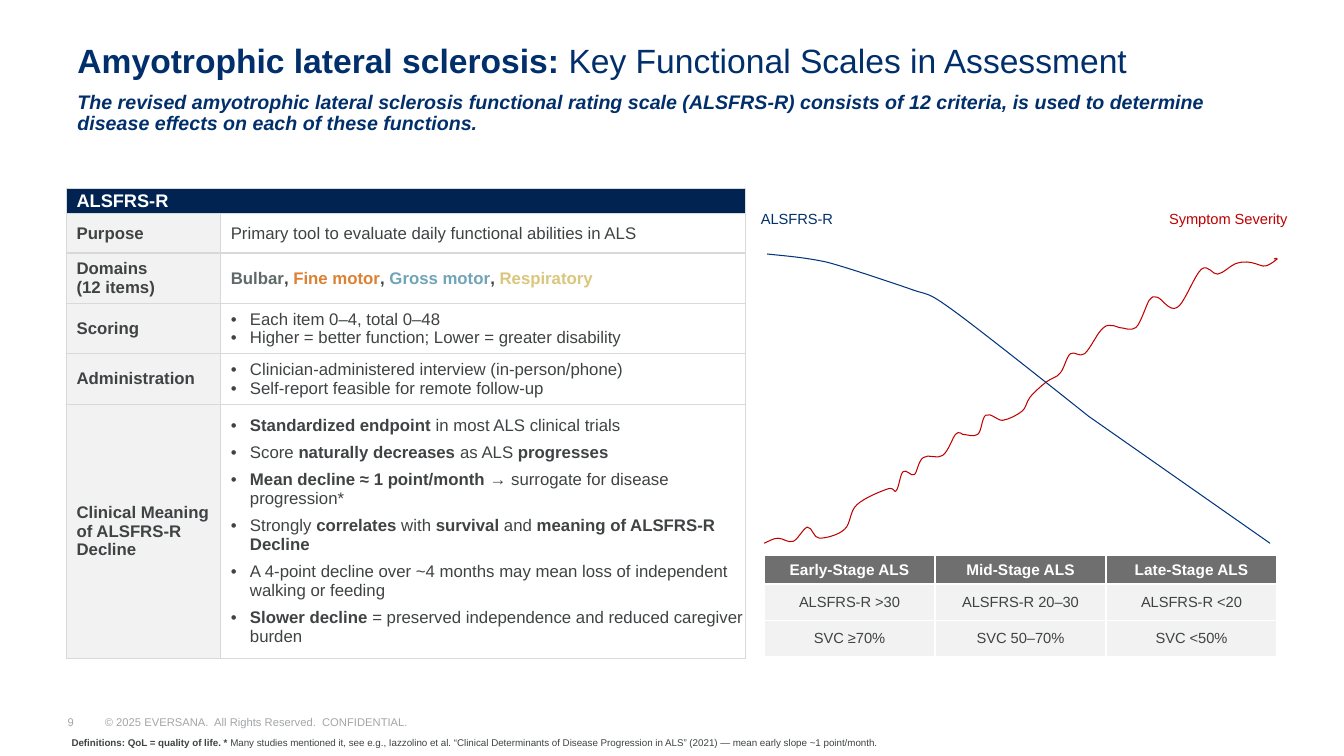
"""Build the ALS functional scales slide with two tables and two trend curves."""
from dataclasses import dataclass
from typing import Optional

from lxml import etree
from pptx import Presentation
from pptx.dml.color import RGBColor
from pptx.enum.shapes import MSO_SHAPE
from pptx.enum.text import MSO_ANCHOR, PP_ALIGN
from pptx.oxml.ns import qn
from pptx.util import Pt

EMU_PER_PX = 9144
FONT = "Arial"
NAVY = RGBColor(0x00, 0x2F, 0x6C)
HEADER_NAVY = RGBColor(0x00, 0x23, 0x52)
CURVE_BLUE = RGBColor(0x00, 0x35, 0x7D)
RED = RGBColor(0xC0, 0x00, 0x00)
INK = RGBColor(0x3F, 0x43, 0x44)
FOOTER_GRAY = RGBColor(0xA2, 0xA5, 0xA8)
HEADER_GRAY = RGBColor(0x6F, 0x6F, 0x6F)
PALE = RGBColor(0xF2, 0xF2, 0xF2)
BORDER_GRAY = RGBColor(0xD9, 0xD9, 0xD9)
WHITE = RGBColor(0xFF, 0xFF, 0xFF)
BULBAR = RGBColor(0x5E, 0x69, 0x68)
FINE_MOTOR = RGBColor(0xDC, 0x80, 0x33)
GROSS_MOTOR = RGBColor(0x70, 0xA4, 0xB6)
RESPIRATORY = RGBColor(0xDA, 0xC6, 0x7C)
LEFT, CENTER = PP_ALIGN.LEFT, PP_ALIGN.CENTER
TOP, MIDDLE = MSO_ANCHOR.TOP, MSO_ANCHOR.MIDDLE
RECTANGLE = MSO_SHAPE.RECTANGLE


@dataclass(frozen=True)
class Run:
    """A stretch of text with one weight and colour."""
    text: str
    bold: bool = False
    color: RGBColor = INK


@dataclass(frozen=True)
class Style:
    """Paragraph settings shared by a whole text body."""
    size: float
    align: PP_ALIGN = LEFT
    italic: bool = False
    bullet: bool = False
    space_after: int = 0
    line_spacing: float = 1.0


@dataclass(frozen=True)
class TextBlock:
    """A placed one-paragraph text."""
    box: tuple
    runs: list
    style: Style
    insets: tuple = (10, 5, 10, 5)
    anchor: MSO_ANCHOR = TOP
    fill: Optional[RGBColor] = None


@dataclass(frozen=True)
class CellSpec:
    """Content and look of one table cell."""
    paragraphs: list
    style: Style
    fill: RGBColor
    insets: tuple = (10, 5, 0, 5)


@dataclass(frozen=True)
class Curve:
    """A start point, three points per cubic segment, then any straight ends."""
    points: list
    color: RGBColor


def px(value: float) -> int:
    """Turn px into EMU."""
    return round(value * EMU_PER_PX)


def write_paragraphs(frame, paragraphs: list, style: Style) -> None:
    """Fill a text frame with paragraphs of runs."""
    for index, runs in enumerate(paragraphs):
        paragraph = frame.add_paragraph() if index else frame.paragraphs[0]
        paragraph.alignment = style.align
        paragraph.line_spacing = style.line_spacing
        paragraph.space_after = Pt(style.space_after)
        if style.bullet:
            properties = paragraph._p.get_or_add_pPr()
            properties.set("marL", str(px(19)))
            properties.set("indent", str(px(-19)))
            etree.SubElement(properties, qn("a:buFont"), typeface=FONT)
            etree.SubElement(properties, qn("a:buChar"), char="•")
        font = paragraph.font
        font.name, font.size, font.italic = FONT, Pt(style.size), style.italic
        same_bold = len({run.bold for run in runs}) == 1
        same_color = len({run.color for run in runs}) == 1
        if same_bold:
            font.bold = runs[0].bold
        if same_color:
            font.color.rgb = runs[0].color
        for run in runs:
            text_run = paragraph.add_run()
            text_run.text = run.text
            if not same_bold:
                text_run.font.bold = run.bold
            if not same_color:
                text_run.font.color.rgb = run.color


def add_text(slide, block: TextBlock) -> None:
    """Draw a text block, as a filled rectangle if it has a fill."""
    place = [px(value) for value in block.box]
    if block.fill is None:
        shape = slide.shapes.add_textbox(*place)
    else:
        shape = slide.shapes.add_shape(RECTANGLE, *place)
        shape.shadow.inherit = False
        shape.fill.solid()
        shape.fill.fore_color.rgb = block.fill
        shape.line.fill.background()
    frame = shape.text_frame
    frame.word_wrap = True
    frame.vertical_anchor = block.anchor
    (frame.margin_left, frame.margin_top, frame.margin_right,
     frame.margin_bottom) = [px(value) for value in block.insets]
    write_paragraphs(frame, [block.runs], block.style)


def format_cell(cell, spec: CellSpec, border: RGBColor) -> None:
    """Set borders, fill, margins and text of a cell."""
    properties = cell._tc.get_or_add_tcPr()
    for side in ("lnL", "lnR", "lnT", "lnB"):
        line = etree.SubElement(properties, qn(f"a:{side}"), w=str(Pt(1)))
        fill = etree.SubElement(line, qn("a:solidFill"))
        etree.SubElement(fill, qn("a:srgbClr"), val=str(border))
    cell.fill.solid()
    cell.fill.fore_color.rgb = spec.fill
    cell.vertical_anchor = MIDDLE
    (cell.margin_left, cell.margin_top, cell.margin_right,
     cell.margin_bottom) = [px(value) for value in spec.insets]
    write_paragraphs(cell.text_frame, spec.paragraphs, spec.style)


def add_grid(slide, left: int, top: int, widths: list, heights: list,
             rows: list, border: RGBColor) -> None:
    """Draw a table; a row with a single spec spans all columns."""
    table = slide.shapes.add_table(len(heights), len(widths), px(left), px(top),
                                   px(sum(widths)), px(sum(heights))).table
    table.first_row = table.horz_banding = False
    for column, width in zip(table.columns, widths):
        column.width = px(width)
    for index, (height, specs) in enumerate(zip(heights, rows)):
        table.rows[index].height = px(height)
        if len(specs) < len(widths):
            table.cell(index, 0).merge(table.cell(index, len(widths) - 1))
        for column, spec in enumerate(specs):
            format_cell(table.cell(index, column), spec, border)


def add_curve(slide, curve: Curve) -> None:
    """Draw an open outline, joining each three points into a cubic segment."""
    start, *vertices = [(px(x), px(y)) for x, y in curve.points]
    builder = slide.shapes.build_freeform(*start)
    builder.add_line_segments(vertices, close=False)
    shape = builder.convert_to_shape()
    lines = list(shape._element.iter(qn("a:lnTo")))
    for first in range(0, len(lines) - 2, 3):
        cubic = etree.Element(qn("a:cubicBezTo"))
        lines[first].addprevious(cubic)
        for line in lines[first:first + 3]:
            cubic.append(line[0])
            line.getparent().remove(line)
    shape.shadow.inherit = False
    shape.fill.background()
    shape.line.color.rgb = curve.color
    shape.line.width = Pt(0.75)


FOOTER, LABEL = Style(8), Style(10.5)
TEXTS = [
    TextBlock((67, 699, 54, 34), [Run("9", color=FOOTER_GRAY)], FOOTER, (0, 7, 13, 7), MIDDLE),
    TextBlock((104, 699, 446, 34),
              [Run("© 2025 EVERSANA.  All Rights Reserved.  CONFIDENTIAL.", color=FOOTER_GRAY)],
              FOOTER, (0, 7, 13, 7), MIDDLE),
    TextBlock((67, 39, 1200, 44),
              [Run("Amyotrophic lateral sclerosis: ", True, NAVY),
               Run("Key Functional Scales in Assessment", False, NAVY)],
              Style(24), (10, 0, 0, 2), MIDDLE),
    TextBlock((67, 87, 1200, 38),
              [Run("The revised amyotrophic lateral sclerosis functional rating scale (ALSFRS-R) consists "
                   "of 12 criteria, is used to determine disease effects on each of these functions.",
                   True, NAVY)], Style(14, italic=True, line_spacing=0.9)),
    TextBlock((67, 723, 1203, 27),
              [Run("Definitions: QoL = quality of life. * ", True),
               Run("Many studies mentioned it, see e.g., Iazzolino et al. “Clinical Determinants of Disease "
                   "Progression in ALS” (2021) — mean early slope ~1 point/month.")],
              Style(7), (4, 4, 4, 4), MIDDLE, WHITE),
    TextBlock((1150, 203, 147, 31), [Run("Symptom Severity", color=RED)], LABEL),
    TextBlock((745, 203, 104, 31), [Run("ALSFRS-R", color=NAVY)], LABEL),
]

PLAIN, BULLETS = Style(12), Style(12, bullet=True)
SCALE_ROWS = [
    (["Purpose"], PLAIN, [[Run("Primary tool to evaluate daily functional abilities in ALS")]]),
    (["Domains", "(12 items)"], PLAIN,
     [[Run("Bulbar", True, BULBAR), Run(", ", True), Run("Fine motor", True, FINE_MOTOR),
       Run(", ", True), Run("Gross motor", True, GROSS_MOTOR), Run(", ", True),
       Run("Respiratory", True, RESPIRATORY)]]),
    (["Scoring"], BULLETS, [[Run("Each item 0–4, total 0–48")],
                            [Run("Higher = better function; Lower = greater disability")]]),
    (["Administration"], BULLETS, [[Run("Clinician-administered interview (in-person/phone)")],
                                   [Run("Self-report feasible for remote follow-up")]]),
    (["Clinical Meaning of ALSFRS-R Decline"], Style(12, bullet=True, space_after=6),
     [[Run("Standardized endpoint", True), Run(" in most ALS clinical trials")],
      [Run("Score "), Run("naturally decreases ", True), Run("as ALS "), Run("progresses", True)],
      [Run("Mean decline ≈ 1 point/month ", True), Run("→ surrogate for disease progression*")],
      [Run("Strongly "), Run("correlates", True), Run(" with "), Run("survival", True),
       Run(" and "), Run("meaning of ALSFRS-R Decline", True)],
      [Run("A 4-point decline over ~4 months may mean loss of independent walking or feeding")],
      [Run("Slower decline ", True),
       Run("= preserved independence and reduced caregiver burden")]]),
]
STAGE_ROWS = [("Early-Stage ALS", "Mid-Stage ALS", "Late-Stage ALS"),
              ("ALSFRS-R >30", "ALSFRS-R 20–30", "ALSFRS-R <20"),
              ("SVC ≥70%", "SVC 50–70%", "SVC <50%")]

SEVERITY = Curve([
    (758, 539), (763, 537), (767, 534), (772, 534), (777, 534), (782, 539), (787, 537),
    (791, 536), (797, 524), (801, 523), (806, 523), (807, 534), (813, 534), (819, 534), (832, 531),
    (838, 525), (844, 520), (843, 507), (850, 501), (857, 494), (875, 487), (881, 485), (888, 483),
    (887, 490), (889, 487), (892, 484), (893, 470), (896, 468), (899, 465), (904, 473), (907, 471),
    (910, 469), (911, 457), (916, 454), (921, 450), (930, 456), (935, 452), (941, 448), (945, 434),
    (948, 431), (951, 427), (955, 431), (955, 431), (959, 431), (966, 434), (970, 431), (974, 428),
    (974, 414), (978, 412), (983, 409), (990, 418), (995, 417), (1001, 416), (1009, 412),
    (1014, 408), (1018, 405), (1018, 399), (1022, 394), (1026, 389), (1033, 383), (1038, 379),
    (1043, 375), (1048, 375), (1052, 370), (1056, 365), (1058, 354), (1062, 351), (1066, 348),
    (1071, 355), (1076, 351), (1082, 346), (1089, 329), (1095, 325), (1100, 320), (1110, 325),
    (1110, 325), (1115, 325), (1122, 329), (1127, 325), (1132, 320), (1137, 303), (1140, 298),
    (1144, 294), (1143, 294), (1148, 295), (1153, 296), (1160, 310), (1168, 305), (1175, 301),
    (1185, 273), (1192, 267), (1199, 262), (1203, 273), (1208, 272), (1214, 271), (1220, 264),
    (1225, 262), (1230, 260), (1233, 260), (1237, 260), (1242, 260), (1249, 263), (1253, 264),
    (1257, 264), (1258, 263), (1260, 262), (1262, 261), (1266, 258), (1267, 257), (1267, 256),
    (1266, 256), (1264, 257)], RED)
FUNCTION = Curve([
    (761, 252), (779, 254), (796, 255), (820, 260), (843, 266), (901, 286), (901, 286),
    (922, 294), (917, 287), (947, 309), (976, 330), (1080, 413), (1080, 413),
    (1260, 539)], CURVE_BLUE)


def main() -> None:
    """Assemble and save the slide."""
    presentation = Presentation()
    presentation.slide_width, presentation.slide_height = px(1333.33), px(750)
    slide = presentation.slides.add_slide(presentation.slide_layouts[6])
    for block in TEXTS:
        add_text(slide, block)
    scale_cells = [[CellSpec([[Run("ALSFRS-R", True, WHITE)]], Style(13), HEADER_NAVY, (10, 0, 0, 0))]]
    scale_cells += [[CellSpec([[Run(line, True)] for line in heading], PLAIN, PALE),
                     CellSpec(paragraphs, style, WHITE)]
                    for heading, style, paragraphs in SCALE_ROWS]
    add_grid(slide, 66, 187, [153, 521], [25, 39, 47, 50, 50, 238], scale_cells, BORDER_GRAY)
    stage_cells = [[CellSpec([[Run(text, index == 0, INK if index else WHITE)]],
                             Style(10.5 if index else 11, CENTER),
                             PALE if index else HEADER_GRAY, (10, 5, 10, 5))
                    for text in row] for index, row in enumerate(STAGE_ROWS)]
    add_grid(slide, 758, 551, [169.67] * 3, [26, 36, 36], stage_cells, WHITE)
    for curve in (SEVERITY, FUNCTION):
        add_curve(slide, curve)
    presentation.save("out.pptx")


if __name__ == "__main__":
    main()
